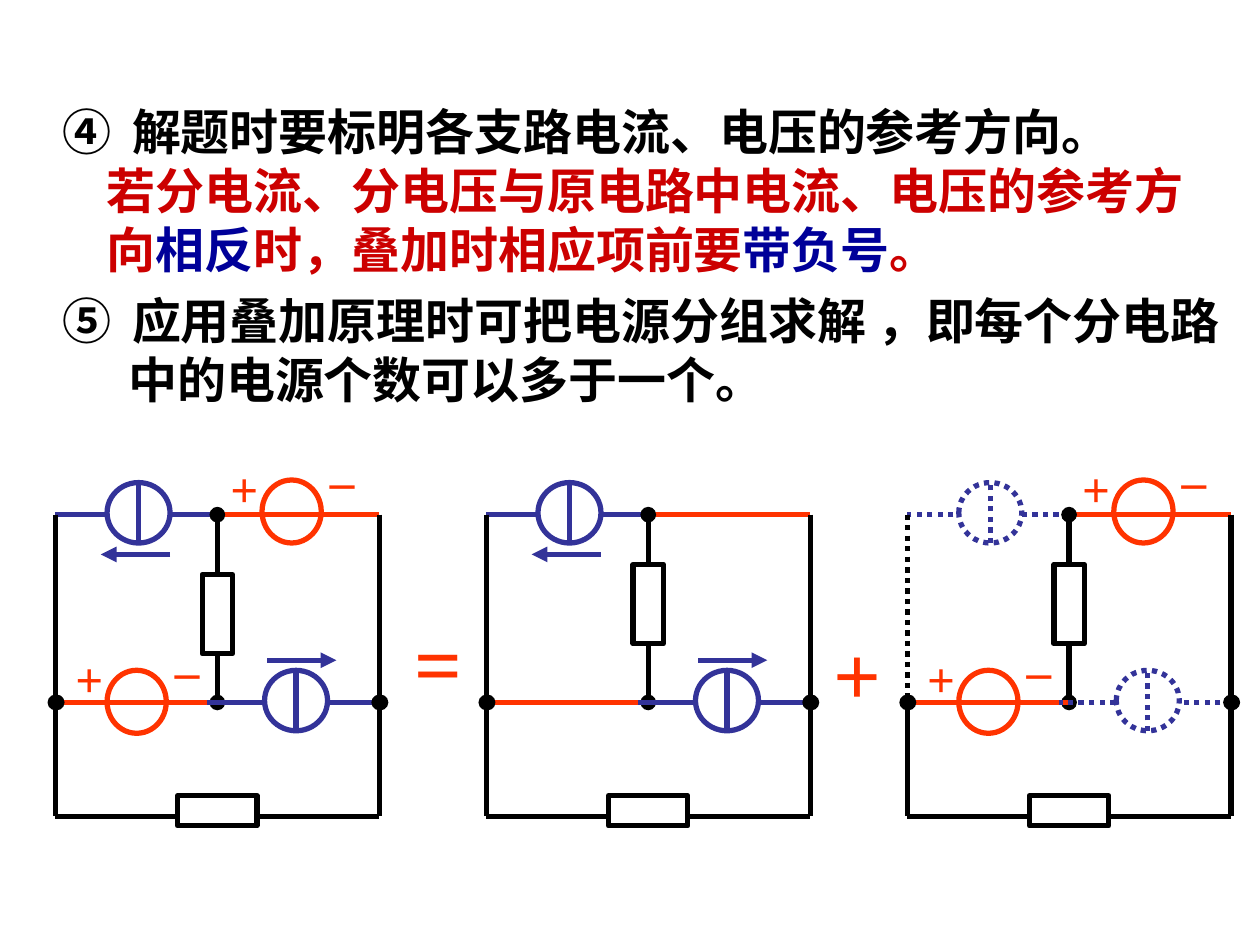
"""Build the slide on superposition rules with its three circuit diagrams."""
import pptx
import pptx.dml.color
import pptx.enum.dml
import pptx.enum.shapes
import pptx.enum.text
import pptx.oxml
import pptx.oxml.ns
import pptx.util

THEME = {
    "latin": "Times New Roman", "chinese": "Noto Sans CJK SC",
    "body": 28, "operator": 48, "stroke": 3,
    "black": "000000", "white": "FFFFFF", "crimson": "CC0000", "navy": "000099",
    "voltage": "FF3300", "current": "333399",
}

presentation = pptx.Presentation()
presentation.slide_width = pptx.util.Inches(10)
presentation.slide_height = pptx.util.Inches(7.5)
COLUMN = presentation.slide_width // 100
ROW = presentation.slide_height // 75
slide = presentation.slides.add_slide(presentation.slide_layouts[6])


def add_text(container, paragraphs, left, top, width, height, size=THEME["body"], wrap=False):
    """Add a text box; each paragraph is (left margin, hanging, runs of (text, colour))."""
    box = container.add_textbox(
        round(left * COLUMN), round(top * ROW), round(width * COLUMN), round(height * ROW))
    frame = box.text_frame
    frame.word_wrap = wrap
    frame.auto_size = pptx.enum.text.MSO_AUTO_SIZE.SHAPE_TO_FIT_TEXT
    for number, (margin, hanging, runs) in enumerate(paragraphs):
        paragraph = frame.add_paragraph() if number else frame.paragraphs[0]
        properties = paragraph._p.get_or_add_pPr()
        properties.set("marL", str(round(margin * COLUMN)))
        properties.set("indent", str(round(-hanging * COLUMN)))
        for text, color in runs:
            run = paragraph.add_run()
            run.text = text
            run.font.size = pptx.util.Pt(size)
            run.font.bold = True
            run.font.name = THEME["latin"]
            run.font.color.rgb = pptx.dml.color.RGBColor.from_string(THEME[color])
            east_asian = pptx.oxml.parse_xml(
                f'<a:ea {pptx.oxml.ns.nsdecls("a")} typeface="{THEME["chinese"]}"/>')
            run._r.get_or_add_rPr().append(east_asian)


def add_part(container, kind, x1, y1, x2, y2, color="black", dotted=False, head=None, tail=None):
    """Add a wire, a source circle or a resistor between two corner points."""
    x1, x2 = round(x1 * COLUMN), round(x2 * COLUMN)
    y1, y2 = round(y1 * ROW), round(y2 * ROW)
    if kind == "wire":
        part = container.add_connector(pptx.enum.shapes.MSO_CONNECTOR.STRAIGHT, x1, y1, x2, y2)
    else:
        preset = {"circle": pptx.enum.shapes.MSO_SHAPE.OVAL,
                  "resistor": pptx.enum.shapes.MSO_SHAPE.RECTANGLE}[kind]
        part = container.add_shape(preset, x1, y1, x2 - x1, y2 - y1)
        part.shadow.inherit = False
        part.fill.solid()
        part.fill.fore_color.rgb = pptx.dml.color.RGBColor.from_string(THEME["white"])
    part.line.width = pptx.util.Pt(THEME["stroke"])
    part.line.color.rgb = pptx.dml.color.RGBColor.from_string(THEME[color])
    if dotted:
        part.line.dash_style = pptx.enum.dml.MSO_LINE.ROUND_DOT
    namespace = pptx.oxml.ns.nsdecls("a")
    for tag, style in (("headEnd", head), ("tailEnd", tail)):
        if style:
            part.line._get_or_add_ln().append(
                pptx.oxml.parse_xml(f'<a:{tag} {namespace} type="{style}"/>'))
    if kind == "wire":
        part._element.spPr.append(pptx.oxml.parse_xml(f"<a:effectLst {namespace}/>"))


add_text(slide.shapes, [
    (5.5, 5.5, [("⑤\t应用叠加原理时可把电源分组求解 ，即每个分电路", "black")]),
    (5.2, 0, [("中的电源个数可以多于一个。", "black")]),
], 4, 22.6, 96, 10.4, wrap=True)
add_text(slide.shapes, [
    (5.5, 5.5, [("④\t解题时要标明各支路电流、电压的参考方向。", "black")]),
    (3.5, 0, [("若分电流、分电压与原电路中电流、电压的参考方", "crimson")]),
    (3.5, 0, [("向", "crimson"), ("相反", "navy"), ("时，叠加时相应项前要", "crimson"),
              ("带负号", "navy"), ("。", "crimson")]),
], 4, 7.6, 96, 15, wrap=True)

TOP, MIDDLE, BOTTOM = 40.85, 55.75, 64.8
SPAN = 25.7
HALF = SPAN / 2
VOLTAGE_SOURCES = [(16.4, 38.1), (4.1, 53.2)]
CURRENT_SOURCES = [(4.1, 38.3), (16.6, 53.2)]
CURRENT_ARROWS = [(9.1, 44, 3.6), (16.8, 52.4, 22.3)]
PANELS = [
    (4.4, True, True, 45.6, 17, None),
    (38.6, False, True, 44.8, 18.5, ("=", 31.9, 48)),
    (72, True, False, 44.8, 18.5, ("+", 65.2, 48.8)),
]

for left, has_voltage, has_current, resistor_top, overlap, operator in PANELS:
    parts = slide.shapes.add_group_shape().shapes
    center, right = left + HALF, left + SPAN
    off = not has_current

    if operator:
        sign, sign_left, sign_top = operator
        add_text(parts, [(0, 0, [(sign, "voltage")])], sign_left, sign_top, 5.8, 9,
                 size=THEME["operator"])
    if has_voltage:
        for x, y in VOLTAGE_SOURCES:
            add_part(parts, "circle", left + x, y, left + x + 4.7, y + 5, "voltage")
            add_text(parts, [(0, 0, [("+", "voltage")])], left + x - 3.5, y - 2.2, 4.2, 5.7)
            add_text(parts, [(0, 0, [("_", "voltage")])], left + x + 4.4, y - 4.2, 3.9, 5.7)

    add_part(parts, "wire", right, TOP, center, TOP, "voltage")
    add_part(parts, "wire", left, BOTTOM, right, BOTTOM)
    add_part(parts, "wire", center, TOP, left, TOP, "current", off)
    add_part(parts, "wire", center, TOP, center, MIDDLE, head="oval", tail="oval")
    add_part(parts, "wire", left, TOP, left, MIDDLE, dotted=off)
    add_part(parts, "wire", left, MIDDLE, left, BOTTOM)
    add_part(parts, "wire", right, TOP, right, BOTTOM)
    add_part(parts, "wire", center, MIDDLE, left, MIDDLE, "voltage")
    add_part(parts, "wire", right, MIDDLE, center - 0.8, MIDDLE, "current", off)

    if has_current:
        for start, y, end in CURRENT_ARROWS:
            add_part(parts, "wire", left + start, y, left + end, y, "current", tail="triangle")
    for x, y in CURRENT_SOURCES:
        add_part(parts, "circle", left + x, y, left + x + 5, y + 4.8, "current", off)
        add_part(parts, "wire", left + x + 2.5, y + 4.8, left + x + 2.5, y, "current", off)
    add_part(parts, "resistor", center - 1.2, resistor_top, center + 1.2, resistor_top + 6.3)
    add_part(parts, "resistor", center - 3.15, 63.15, center + 3.15, 65.55)
    for x in (left, right):
        add_part(parts, "wire", x, MIDDLE, x + 0.1, MIDDLE, head="oval", tail="oval")

presentation.save("out.pptx")
